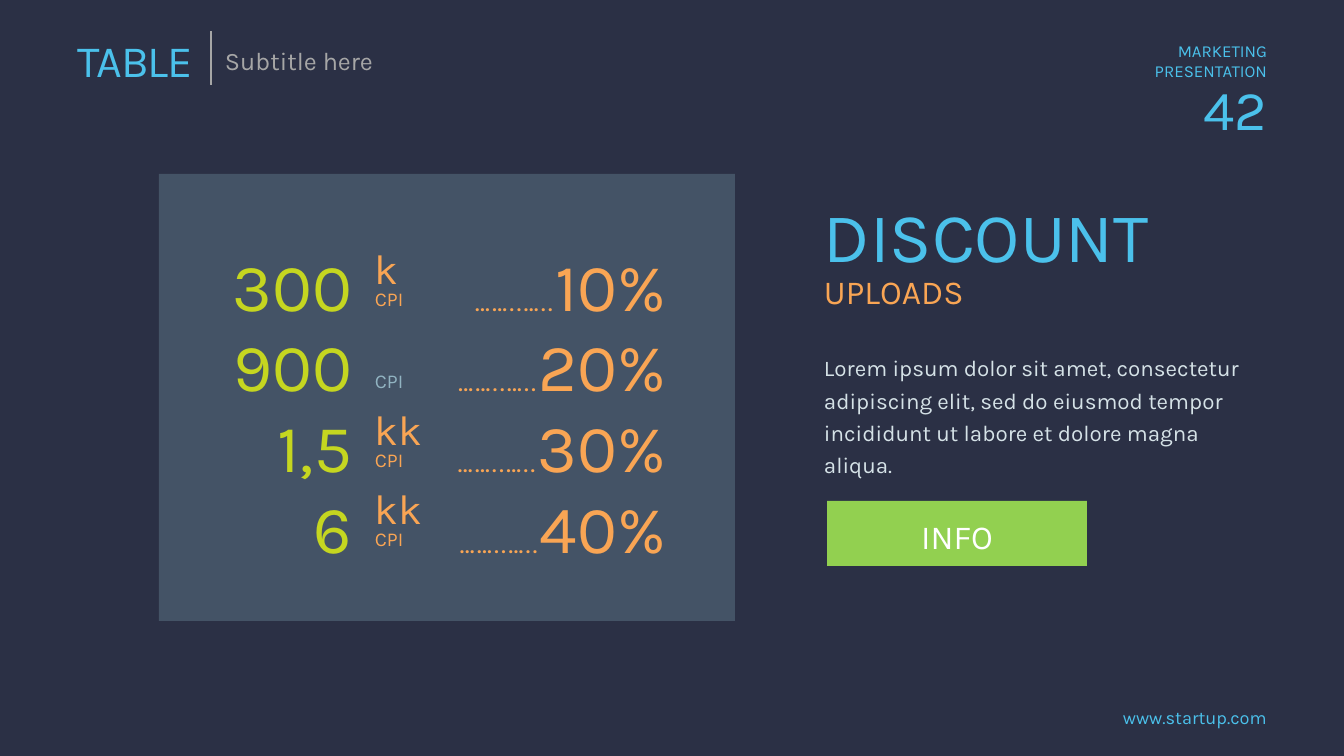
from lxml.etree import SubElement
from pptx import Presentation
from pptx.dml.color import RGBColor
from pptx.enum.shapes import MSO_CONNECTOR, MSO_SHAPE
from pptx.enum.text import MSO_ANCHOR as ANCHOR, MSO_AUTO_SIZE, PP_ALIGN as ALIGN
from pptx.oxml.ns import qn
from pptx.util import Pt

PX = 18143  # EMU per px
NAVY = RGBColor(0x2B, 0x30, 0x45)
SKY = RGBColor(0x4B, 0xC1, 0xEB)
GREY = RGBColor(0xA6, 0xA6, 0xA6)
ORANGE = RGBColor(0xF9, 0xA5, 0x54)
LIME = RGBColor(0xC5, 0xD6, 0x20)
GREEN = RGBColor(0x92, 0xD0, 0x50)
STEEL = RGBColor(0x5B, 0x71, 0x83)
MIST = RGBColor(0x91, 0xB3, 0xC1)
PALE = RGBColor(0xD5, 0xE2, 0xE7)
WHITE = RGBColor(0xFF, 0xFF, 0xFF)

# amount, unit, unit colour, top of unit, discount
ROWS = [
    ("300", "k", ORANGE, 256, "10%"),
    ("900", "", MIST, 338, "20%"),
    ("1,5", "kk", ORANGE, 417, "30%"),
    ("6", "kk", ORANGE, 496, "40%"),
]
LEADER = "……..….."


def px(*lengths):
    return [n * PX for n in lengths]


class Deck:
    """Holds the font and the current slide."""
    font = "Karla"

    def __init__(self, slide):
        self.slide = slide
        self.shapes = slide.shapes

    def set_text(self, sp, lines, color, align=ALIGN.LEFT, anchor=ANCHOR.TOP, spacing=None):
        """Fill sp with lines; a line is a list of (text, size, tracking) runs."""
        tf = sp.text_frame
        tf.word_wrap = True
        tf.auto_size = MSO_AUTO_SIZE.NONE
        tf.vertical_anchor = anchor
        tf.margin_left = tf.margin_top = tf.margin_right = tf.margin_bottom = 0
        for i, runs in enumerate(lines):
            p = tf.add_paragraph() if i else tf.paragraphs[0]
            p.alignment = align
            p.line_spacing = spacing
            p.font.name = self.font
            p.font.color.rgb = color
            for text, size, tracking in runs:
                r = p.add_run()
                r.text = text
                r.font.size = Pt(size)
                if tracking:
                    r.font._element.set("spc", str(int(tracking * 100)))

    def title(self, box, text, size, color, tracking):
        sp = self.shapes.title
        sp.left, sp.top, sp.width, sp.height = px(*box)
        self.set_text(sp, [[(text, size, tracking)]], color, anchor=ANCHOR.MIDDLE)

    def text(self, box, lines, color, **layout):
        self.set_text(self.shapes.add_textbox(*px(*box)), lines, color, **layout)

    def rect(self, box, color, opacity=None):
        sp = self.shapes.add_shape(MSO_SHAPE.RECTANGLE, *px(*box))
        sp.shadow.inherit = False
        sp.line.fill.background()
        sp.fill.solid()
        sp.fill.fore_color.rgb = color
        if opacity:
            clr = sp._element.spPr.find(".//" + qn("a:srgbClr"))
            SubElement(clr, qn("a:alpha"), val=str(opacity * 1000))
        return sp

    def button(self, box, text, size, fill, color):
        sp = self.rect(box, fill)
        self.set_text(sp, [[(text, size, 0)]], color, ALIGN.CENTER, ANCHOR.MIDDLE)
        sp.text_frame.margin_top = 6 * PX

    def line(self, ends, color, width):
        cx = self.shapes.add_connector(MSO_CONNECTOR.STRAIGHT, *px(*ends))
        cx.line.color.rgb = color
        cx.line.width = Pt(width)
        SubElement(cx._element.spPr, qn("a:effectLst"))


def main():
    prs = Presentation()
    prs.slide_width, prs.slide_height = px(1344, 756)
    s = prs.slides.add_slide(prs.slide_layouts[5])
    s.background.fill.solid()
    s.background.fill.fore_color.rgb = NAVY
    deck = Deck(s)

    # Header and footer
    deck.title((77, 33, 130, 54), "TABLE", 64, SKY, -1.5)
    deck.line((211, 31, 211, 85), GREY, 2.25)
    deck.text((225, 42, 170, 36), [[("Subtitle here", 36, 0)]], GREY, anchor=ANCHOR.MIDDLE)
    deck.text((1117, 40, 150, 41), [[("MARKETING", 24, 0)], [("PRESENTATION", 24, 0)]], SKY,
              align=ALIGN.RIGHT, anchor=ANCHOR.MIDDLE)
    deck.text((1112, 88, 155, 40), [[("42", 80, 0)]], SKY,
              align=ALIGN.RIGHT, anchor=ANCHOR.MIDDLE)
    deck.text((1087, 706, 180, 22), [[("www.startup.com", 26, 0)]], SKY, align=ALIGN.RIGHT)

    # Discount table
    deck.rect((159, 174, 576, 447), STEEL, opacity=54)
    deck.text((202, 244, 150, 326), [[(row[0], 96, 0)] for row in ROWS], LIME,
              align=ALIGN.RIGHT)
    for _, unit, color, top, _ in ROWS:
        lines = [[(unit, 60, 0)]] if unit else []
        deck.text((375, top, 66, 54), lines + [[("CPI", 28, 0)]], color,
                  anchor=ANCHOR.BOTTOM, spacing=0.75)
    deck.text((427, 244, 239, 326), [[(LEADER, 40, 3), (row[4], 96, 0)] for row in ROWS],
              ORANGE, align=ALIGN.RIGHT)

    # Explanation
    deck.text((824, 192, 360, 84), [[("DISCOUNT", 100, 0)]], SKY, anchor=ANCHOR.MIDDLE)
    deck.text((824, 271, 180, 41), [[("UPLOADS", 48, 0)]], ORANGE, anchor=ANCHOR.MIDDLE)
    body = ("Lorem ipsum dolor sit amet, consectetur adipiscing elit, sed do eiusmod "
            "tempor incididunt ut labore et dolore magna aliqua.")
    deck.text((824, 349, 443, 130), [[(body, 32, 0)]], PALE, spacing=1.2)
    deck.button((827, 501, 260, 65), "INFO", 48, GREEN, WHITE)

    prs.save("out.pptx")


if __name__ == "__main__":
    main()
